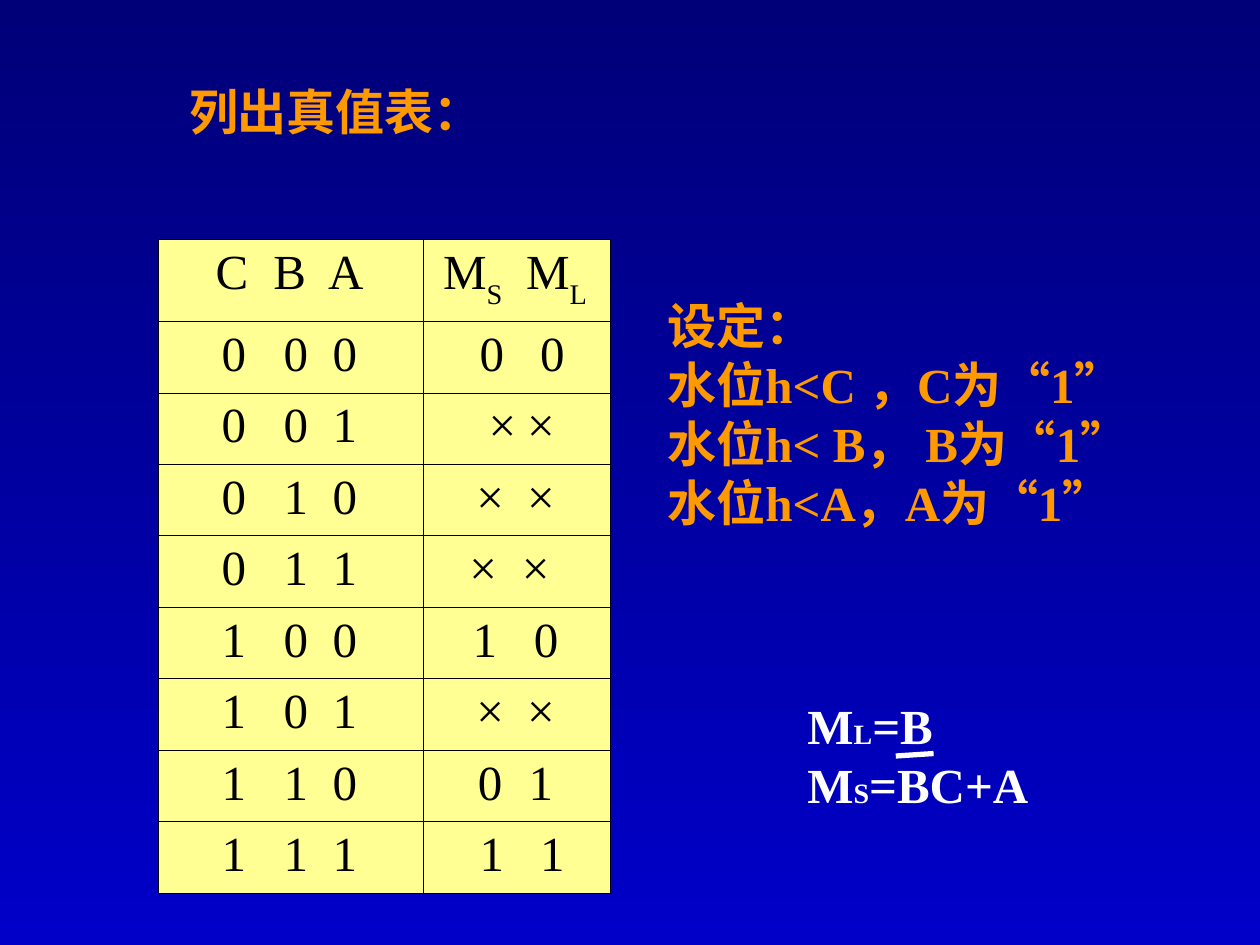
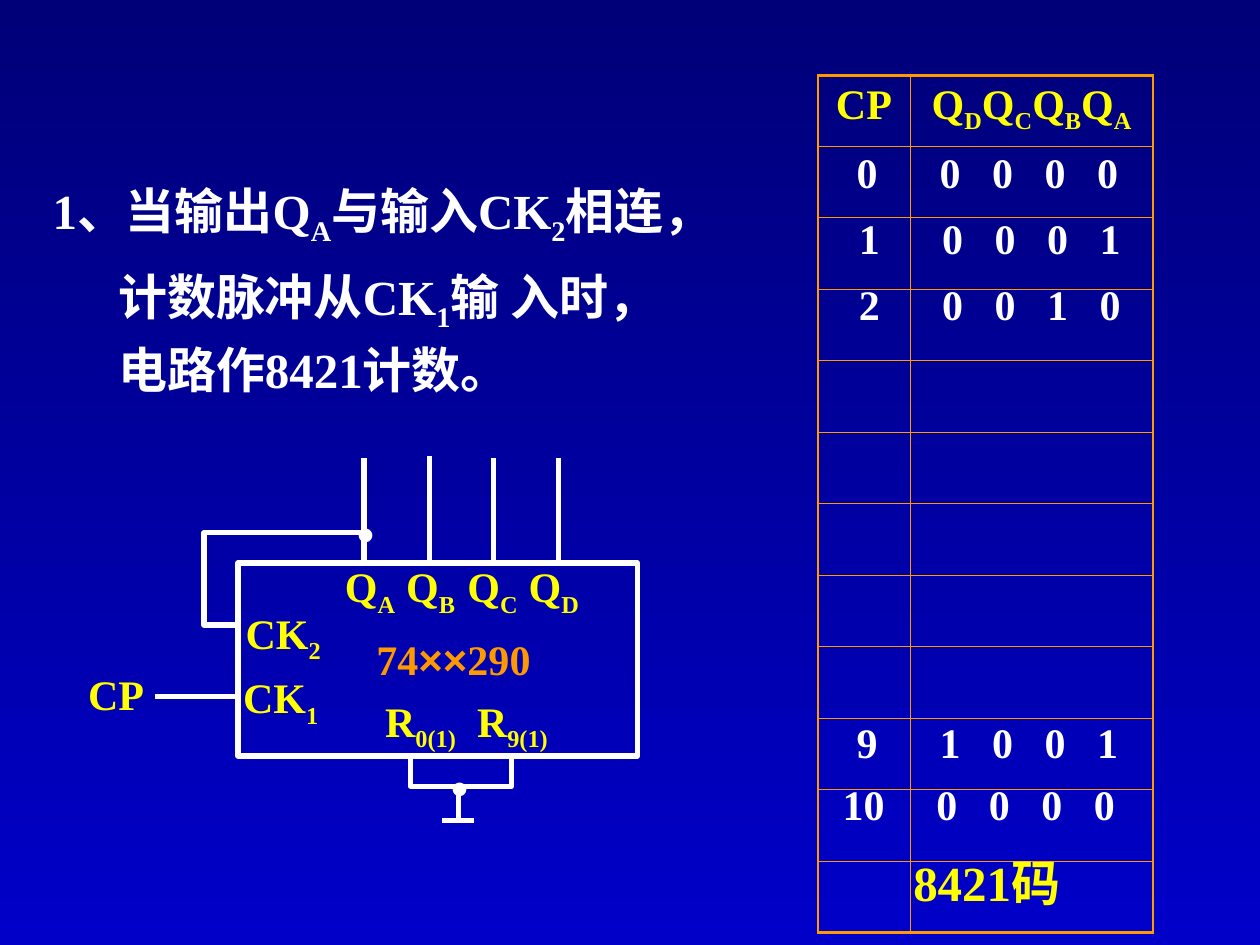
import pptx
import pptx.util
import pptx.dml.color
import pptx.enum.shapes
import pptx.enum.text
import pptx.oxml.ns
from lxml import etree

Pt = pptx.util.Pt
Align = pptx.enum.text.PP_ALIGN

# Shared look
FONT = "Times New Roman"
WHITE, BLACK, ORANGE, YELLOW, CREAM = "FFFFFF", "000000", "FF9900", "FFFF00", "FFFF93"
BACKGROUND = ("000078", "0000C8")
LINE_WIDTH = 3
THIN, THICK = 0.45, 1.47

# Slide 1 content; square brackets mark the runs that differ (subscripts)
TITLE = "列出真值表："
INPUT_STOPS = (36, 71.5, 99.5)
TRUTH_ROWS = [  # inputs, outputs, centres of the outputs
    (("C", "B", "A"), ("M[S]", "M[L]"), (21, 69)),
    ("000", "00", (32, 66.5)),
    ("001", "××", (38, 60)),
    ("010", "××", (31, 60)),
    ("011", "××", (27, 57)),
    ("100", "10", (28, 63)),
    ("101", "××", (31, 60)),
    ("110", "01", (31, 60)),
    ("111", "11", (32, 66.5)),
]
SETTINGS = ["设定：", "水位h<C ，C为“1”", "水位h< B， B为“1”", "水位h<A，A为“1”"]
EQUATIONS = ["M[L]=B", "M[S]=BC+A"]

# Slide 2 content
EXPLANATION = ["1、当输出Q[A]与输入CK[2]相连，", "计数脉冲从CK[1]输 入时，", "电路作8421计数。"]
COUNT_HEADER = ("CP", "Q[D]Q[C]Q[B]Q[A]")
COUNT_ROWS = [  # pulse, outputs, left, top, first tab stop
    ("0", "0000", 482.4, 80, 47.5),
    ("1", "0001", 483.8, 118, 47.5),
    ("2", "0010", 483.8, 155.5, 47.5),
    ("9", "1001", 482.4, 406, 47.5),
    ("10", "0000", 474.5, 441.4, 53.5),
]
CHIP_LABELS = [  # text, left, top, width, tab stops
    ("CK[1]", 131.8, 380.2, 82.8, ()),
    ("CK[2]", 133.2, 343.4, 82.8, ()),
    ("Q[A]\tQ[B]\tQ[C]\tQ[D]", 190, 316.8, 179.3, (35, 70, 105)),
    ("R[0(1)]\tR[9(1)]", 213, 393.8, 130.3, (52.5,)),
    ("CP", 43.2, 378.7, 61.2, ()),
]
WIRES = [  # x1, y1, x2, y2
    (208, 321.8, 208, 262), (245.5, 320.4, 245.5, 260.6),
    (282.2, 321.8, 282.2, 262), (319, 321.8, 319, 262),
    (134.6, 398.2, 88.6, 398.2),
    (262, 449.3, 262, 468.7), (252.7, 468.7, 270.7, 468.7),
]
WIRE_PATHS = [
    [(206.6, 304.5), (116.6, 304.5), (116.6, 357.1), (136.1, 357.1)],
    [(234.8, 432), (234.8, 449.3), (292.3, 449.3), (292.3, 432)],
]
JUNCTIONS = [(195.8, 257.8), (249.8, 403.2)]


def color(value):
    return pptx.dml.color.RGBColor.from_string(value)


# Run styles for bracketed text
def subscript(run, baseline=-25000):
    run._r.get_or_add_rPr().set("baseline", str(baseline))


def low_subscript(run):
    subscript(run, -30000)


def small(run):
    run.font.size = Pt(16)


def sans(run):
    run.font.name = "Arial"


def write(paragraph, text, size, ink, bold=True, mark=subscript):
    for index, piece in enumerate(text.replace("]", "[").split("[")):
        if piece:
            run = paragraph.add_run()
            run.text = piece
            run.font.name, run.font.size, run.font.bold = FONT, Pt(size), bold
            run.font.color.rgb = color(ink)
            if index % 2:
                mark(run)


def set_tabs(paragraph, stops, alignment="l"):
    tag = pptx.oxml.ns.qn
    tab_list = etree.SubElement(paragraph._p.get_or_add_pPr(), tag("a:tabLst"))
    for stop in stops:
        etree.SubElement(tab_list, tag("a:tab"), pos=str(int(Pt(stop))), algn=alignment)


def fill_frame(frame, lines, size, ink, wrap=True, mark=subscript, stops=()):
    frame.word_wrap = wrap
    frame.auto_size = pptx.enum.text.MSO_AUTO_SIZE.SHAPE_TO_FIT_TEXT
    for index, line in enumerate(lines):
        paragraph = frame.add_paragraph() if index else frame.paragraphs[0]
        if stops:
            set_tabs(paragraph, stops)
        write(paragraph, line, size, ink, mark=mark)


def add_text(slide, lines, box, size, ink, **options):
    frame = slide.shapes.add_textbox(*map(Pt, box)).text_frame
    fill_frame(frame, lines, size, ink, **options)
    return frame


def add_line(slide, *ends):
    straight = pptx.enum.shapes.MSO_CONNECTOR.STRAIGHT
    connector = slide.shapes.add_connector(straight, *map(Pt, ends))
    connector.line.color.rgb, connector.line.width = color(WHITE), Pt(LINE_WIDTH)
    etree.SubElement(connector._element.spPr, pptx.oxml.ns.qn("a:effectLst"))


def outline(shape):
    shape.shadow.inherit = False
    shape.fill.background()
    shape.line.color.rgb, shape.line.width = color(WHITE), Pt(LINE_WIDTH)


def set_borders(cell, ink, widths):
    tag = pptx.oxml.ns.qn
    properties = cell._tc.get_or_add_tcPr()
    for index, (side, width) in enumerate(zip("LRTB", widths)):
        border = etree.Element(tag("a:ln" + side), w=str(int(Pt(width))))
        solid = etree.SubElement(border, tag("a:solidFill"))
        etree.SubElement(solid, tag("a:srgbClr"), val=ink)
        properties.insert(index, border)


def add_grid(slide, left, top, widths, heights):
    table = slide.shapes.add_table(len(heights), len(widths), Pt(left), Pt(top),
                                   Pt(sum(widths)), Pt(sum(heights))).table
    table.first_row = table.horz_banding = False
    for column, width in zip(table.columns, widths):
        column.width = Pt(width)
    for row, height in zip(table.rows, heights):
        row.height = Pt(height)
    return table


def build_truth_table(presentation):
    slide = presentation.slides.add_slide(presentation.slide_layouts[5])

    # Title
    title = slide.shapes.title
    title.left, title.top, title.width, title.height = map(Pt, (100.8, 43.2, 182.2, 41))
    fill_frame(title.text_frame, [TITLE], 28, ORANGE, wrap=False)
    title.text_frame.vertical_anchor = pptx.enum.text.MSO_ANCHOR.TOP
    title.text_frame.paragraphs[0].alignment = Align.LEFT

    # Truth table
    table = add_grid(slide, 90.4, 136.8, (151.5, 106.8), [46.8] + [40.86] * 8)
    for row, (inputs, outputs, output_stops) in enumerate(TRUTH_ROWS):
        input_stops = INPUT_STOPS if row else (35, 68, 100)
        for column, (values, stops) in enumerate(((inputs, input_stops), (outputs, output_stops))):
            cell = table.cell(row, column)
            cell.fill.solid()
            cell.fill.fore_color.rgb = color(CREAM)
            set_borders(cell, BLACK, [THIN] * 4)
            paragraph = cell.text_frame.paragraphs[0]
            set_tabs(paragraph, stops, "ctr")
            write(paragraph, "".join("\t" + value for value in values), 28, BLACK,
                  bold=False, mark=low_subscript)

    # Equations with the bar over B, and the settings
    add_text(slide, EQUATIONS, (454.3, 393.8, 140.4, 74.9), 28, WHITE, wrap=False, mark=small)
    add_line(slide, 511.9, 432, 533.5, 430.6)
    add_text(slide, SETTINGS, (374.4, 165.6, 321.1, 141.8), 28, ORANGE)


def build_counter(presentation):
    slide = presentation.slides.add_slide(presentation.slide_layouts[6])

    # Explanation
    frame = add_text(slide, EXPLANATION, (23, 99.4, 453.6, 131), 28, WHITE)
    for paragraph in frame.paragraphs[1:]:
        paragraph.line_spacing, paragraph.space_before = 0.7, Pt(17.5)
        paragraph._p.get_or_add_pPr().set("marL", str(int(Pt(37.5))))

    # Chip and its wiring
    rectangle = pptx.enum.shapes.MSO_SHAPE.RECTANGLE
    outline(slide.shapes.add_shape(rectangle, *map(Pt, (136.1, 321.8, 228.2, 110.2))))
    for wire in WIRES:
        add_line(slide, *wire)
    for start, *others in WIRE_PATHS:
        builder = slide.shapes.build_freeform(*map(Pt, start))
        builder.add_line_segments([tuple(map(Pt, point)) for point in others], close=False)
        outline(builder.convert_to_shape())
    for left, top in JUNCTIONS:
        add_text(slide, ["."], (left, top, 61.2, 64.8), 48, WHITE)
    for text, left, top, width, stops in CHIP_LABELS:
        add_text(slide, [text], (left, top, width, 40.3), 24, YELLOW, stops=stops)
    add_text(slide, ["74[××]290"], (208, 358.6, 133.2, 36), 24, ORANGE, mark=sans)

    # Counting table
    heights = [40.3] + [40.86] * 11
    table = add_grid(slide, 467.4, 43.2, (52.6, 139), heights)
    last = len(heights) - 1
    for row in range(len(heights)):
        for column in range(2):
            cell = table.cell(row, column)
            cell.fill.background()
            outer_sides = (column == 0, column == 1, row == 0, row == last)
            set_borders(cell, ORANGE, [THICK if outer else THIN for outer in outer_sides])
    for column, text in enumerate(COUNT_HEADER):
        paragraph = table.cell(0, column).text_frame.paragraphs[0]
        paragraph.alignment = Align.CENTER
        write(paragraph, text, 24, YELLOW)

    # Counts and code name
    for pulse, outputs, left, top, first_stop in COUNT_ROWS:
        stops = [first_stop + 30 * index for index in range(4)]
        add_text(slide, ["\t".join((pulse, *outputs))], (left, top, 172.8, 36), 24, WHITE, stops=stops)
    add_text(slide, ["8421码"], (514.8, 483.8, 119.5, 41), 28, YELLOW)


def main():
    presentation = pptx.Presentation()
    presentation.slide_width, presentation.slide_height = Pt(720), Pt(540)
    fill = presentation.slide_master.background.fill
    fill.gradient()
    fill.gradient_angle = 270
    for stop, position, value in zip(fill.gradient_stops, (0, 1), BACKGROUND):
        stop.position, stop.color.rgb = position, color(value)
    build_truth_table(presentation)
    build_counter(presentation)
    presentation.save("out.pptx")


if __name__ == "__main__":
    main()
